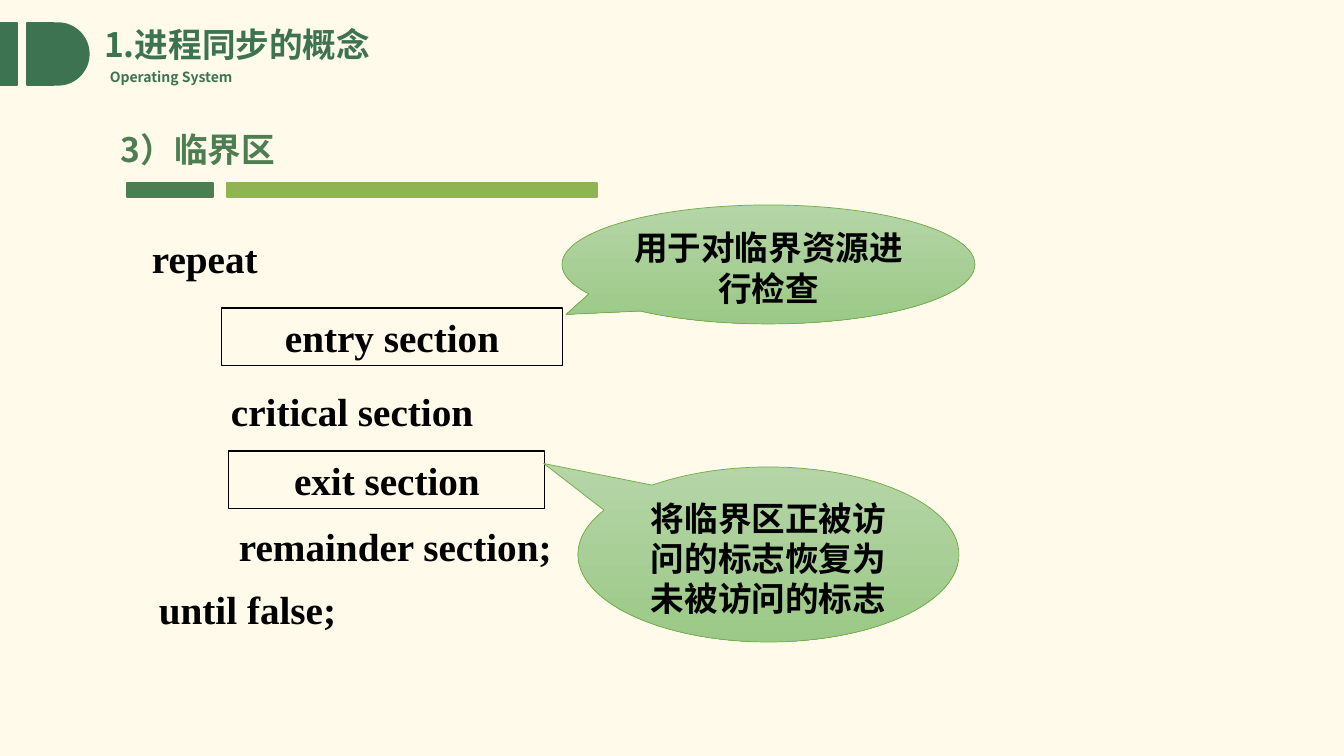
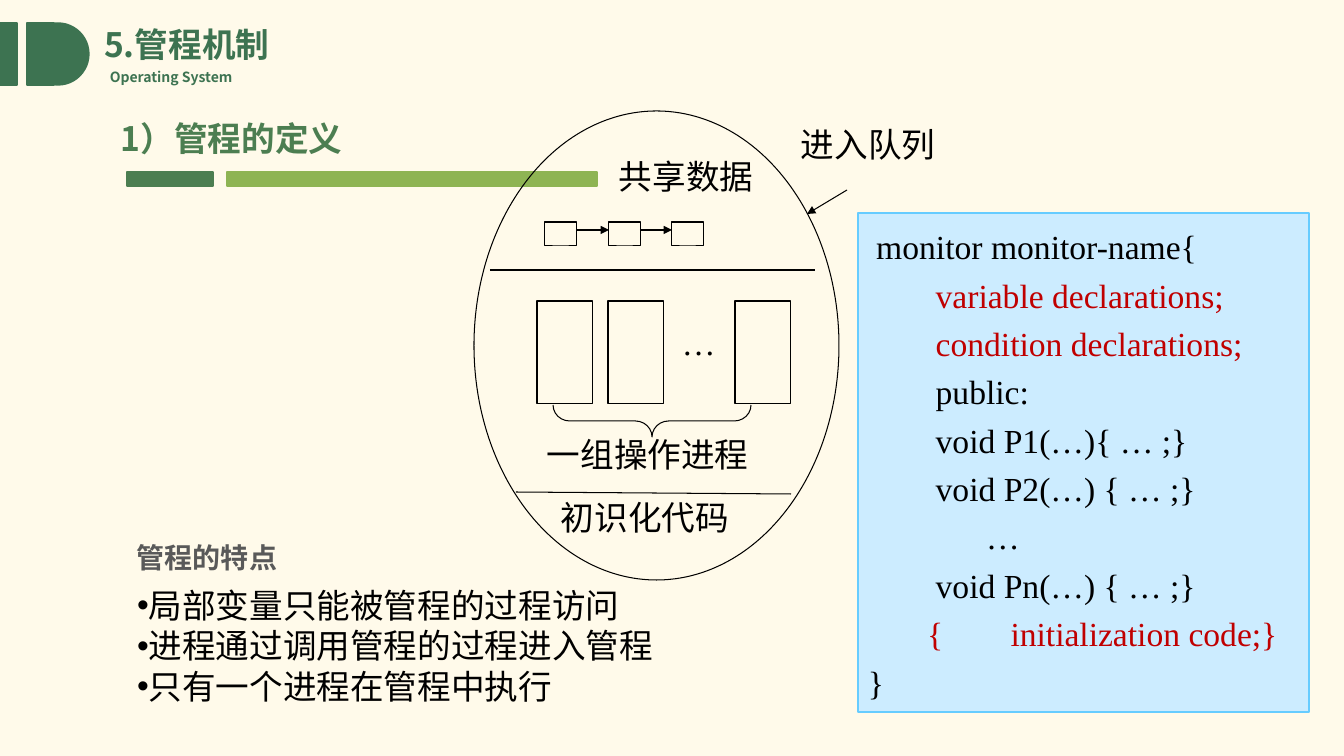
from lxml.etree import SubElement
from pptx import Presentation
from pptx.dml.color import RGBColor
from pptx.enum.shapes import MSO_CONNECTOR, MSO_SHAPE
from pptx.enum.text import MSO_ANCHOR, MSO_AUTO_SIZE, PP_ALIGN
from pptx.oxml.ns import qn
from pptx.util import Pt

PX = 9071  # EMU per px, 100.8 px to the inch
SANS, SERIF = "Noto Sans CJK SC", "Times New Roman"
CREAM, BLACK, GREY, RED = "FFFAEA", "000000", "595959", "C00000"
DARK_GREEN, GREEN, LIME = "3D7351", "4C7E51", "8EB453"


def draw(slide, kind, box, fill=None, line=BLACK, weight=0.75):
    """Add a preset shape, or a text box when kind is None; box is in px."""
    left, top, width, height = (length * PX for length in box)
    if kind is None:
        return slide.shapes.add_textbox(left, top, width, height)
    shape = slide.shapes.add_shape(kind, left, top, width, height)
    shape.shadow.inherit = False
    if fill:
        shape.fill.solid()
        shape.fill.fore_color.rgb = RGBColor.from_string(fill)
    else:
        shape.fill.background()
    shape.line.color.rgb = RGBColor.from_string(line)
    shape.line.width = Pt(weight)
    return shape


def write(shape, lines, size, color=BLACK, font=SERIF, bold=False,
          align=PP_ALIGN.LEFT, anchor=MSO_ANCHOR.TOP):
    """Fill a shape with one paragraph per line and return the paragraphs."""
    frame = shape.text_frame
    frame.text = "\n".join(lines)
    frame.word_wrap = True
    frame.auto_size = MSO_AUTO_SIZE.NONE
    frame.vertical_anchor = anchor
    for paragraph in frame.paragraphs:
        paragraph.alignment = align
        paragraph.space_before = Pt(0)
        paragraph.font.size = Pt(size)
        paragraph.font.bold = bold
        paragraph.font.name = font
        paragraph.font.color.rgb = RGBColor.from_string(color)
    return frame.paragraphs


prs = Presentation()
prs.slide_width, prs.slide_height = 1344 * PX, 756 * PX
master = prs.slide_master
master.background.fill.solid()
master.background.fill.fore_color.rgb = RGBColor.from_string(CREAM)
critical = prs.slides.add_slide(prs.slide_layouts.get_by_name("Title Only"))
monitor = prs.slides.add_slide(prs.slide_layouts.get_by_name("Title and Content"))

# Emblem and course name, moved to the master
emblem = [
    draw(critical, kind, box, DARK_GREEN, DARK_GREEN, 1)
    for kind, box in (
        (MSO_SHAPE.RECTANGLE, (0, 23, 17, 62)),
        (MSO_SHAPE.RECTANGLE, (27, 23, 27, 62)),
        (MSO_SHAPE.OVAL, (27, 23, 62, 62)),
    )
]
course = draw(critical, None, (100, 64, 160, 27))
write(course, ["Operating System"], 10, DARK_GREEN, SANS, True)
for number, part in enumerate(emblem + [course], start=20):
    part.element.nvSpPr.cNvPr.set("id", str(number))
    master.shapes.element.append(part.element)

# Title, section heading and its two bars
for slide, topic, section, top in (
    (critical, "1.进程同步的概念", "3）临界区", 124),
    (monitor, "5.管程机制", "1）管程的定义", 113),
):
    title = slide.shapes.title
    title.left, title.top, title.width, title.height = (
        length * PX for length in (94, 22, 437, 50))
    write(title, [topic], 24, DARK_GREEN, SANS, True,
          anchor=MSO_ANCHOR.MIDDLE)[0].line_spacing = 0.9
    for left, width, color in ((127, 86, GREEN), (227, 370, LIME)):
        draw(slide, MSO_SHAPE.RECTANGLE, (left, top + 59, width, 14), color, color, 1)
    heading = draw(slide, None, (111, top, 325, 50))
    write(heading, [section], 24, GREEN, SANS, True)

# Slide 1: structure of a process around its critical section
for step, left, top in (
    ("repeat", 142, 229),
    ("critical section", 221, 382),
    ("remainder section;", 229, 517),
    ("until false;", 149, 580),
):
    write(draw(critical, None, (left, top, 360, 57)), [step], 28, bold=True)

for step, box in (
    ("entry section", (221, 308, 342, 58)),
    ("exit section", (229, 451, 316, 58)),
):
    write(draw(critical, MSO_SHAPE.RECTANGLE, box), [step], 28, bold=True,
          align=PP_ALIGN.CENTER)

for remark, box, pointer in (
    ("用于对临界资源进行检查", (562, 205, 413, 119), (-0.49, 0.42)),
    ("将临界区正被访问的标志恢复为未被访问的标志", (578, 467, 381, 175), (-0.59, -0.52)),
):
    callout = draw(critical, MSO_SHAPE.OVAL_CALLOUT, box, line="70AD47", weight=0.5)
    callout.adjustments[0], callout.adjustments[1] = pointer
    callout.fill.gradient()
    callout.fill.gradient_angle = 270
    for stop, color in zip(callout.fill.gradient_stops, ("B5D5A7", "9CC987")):
        stop.color.rgb = RGBColor.from_string(color)
    write(callout, [remark], 24, bold=True, align=PP_ALIGN.CENTER)

# Slide 2: features of a monitor
features = monitor.placeholders[1]
features.left, features.top, features.width, features.height = (
    length * PX for length in (127, 580, 720, 132))
for feature in write(features, [
    "局部变量只能被管程的过程访问",
    "进程通过调用管程的过程进入管程",
    "只有一个进程在管程中执行",
], 24, font=SANS):
    indents = feature._p.get_or_add_pPr()
    indents.set("marL", "0")
    indents.set("indent", "0")
write(draw(monitor, None, (127, 535, 180, 44)), ["管程的特点"], 20, GREY, SANS, True)

# Slide 2: diagram of a monitor
draw(monitor, MSO_SHAPE.OVAL, (474, 111, 365, 469))
for left in (545, 609, 672):
    draw(monitor, MSO_SHAPE.RECTANGLE, (left, 222, 32, 24))
for left in (537, 608, 735):
    draw(monitor, MSO_SHAPE.RECTANGLE, (left, 301, 56, 103))
brace = draw(monitor, MSO_SHAPE.RIGHT_BRACE, (636, 322, 32, 198))
brace.rotation = 90
brace.adjustments[0] = 0.52

for label, left, top in (
    ("共享数据", 609, 151),
    ("…", 672, 317),
    ("一组操作进程", 537, 429),
    ("初识化代码", 551, 492),
    ("进入队列", 791, 119),
):
    write(draw(monitor, None, (left, top, 238, 50)), [label], 24)

for start_x, start_y, end_x, end_y, has_arrow in (
    (577, 230, 609, 230, True),
    (640, 230, 672, 230, True),
    (847, 190, 807, 214, True),
    (490, 270, 815, 270, False),
    (516, 492, 791, 494, False),
):
    link = monitor.shapes.add_connector(
        MSO_CONNECTOR.STRAIGHT, start_x * PX, start_y * PX, end_x * PX, end_y * PX)
    link.line.color.rgb = RGBColor.from_string(BLACK)
    link.line.width = Pt(0.75)
    properties = link.element.spPr
    if has_arrow:
        SubElement(properties.find(qn("a:ln")), qn("a:tailEnd"), type="triangle")
    SubElement(properties, qn("a:effectLst"))

# Slide 2: monitor syntax
code = [
    " monitor monitor-name{",
    "  variable declarations;",
    "  condition declarations;",
    "  public:",
    "  void P1(…){ … ;}",
    "  void P2(…) { … ;}",
    "        …",
    "  void Pn(…) { … ;}",
    " {        initialization code;}",
    "}",
]
listing = draw(monitor, MSO_SHAPE.RECTANGLE, (858, 213, 451, 499), "CCECFF", "66CCFF", 1.5)
code_lines = write(listing, code, 24)
for code_line in code_lines:
    code_line.line_spacing = 1.2
for body_line in code_lines[1:-1]:
    indents = body_line._p.get_or_add_pPr()
    indents.set("marL", str(82 * PX))
    indents.set("indent", str(-31 * PX))
for index in (1, 2, 8):
    code_lines[index].font.color.rgb = RGBColor.from_string(RED)

prs.save("out.pptx")
